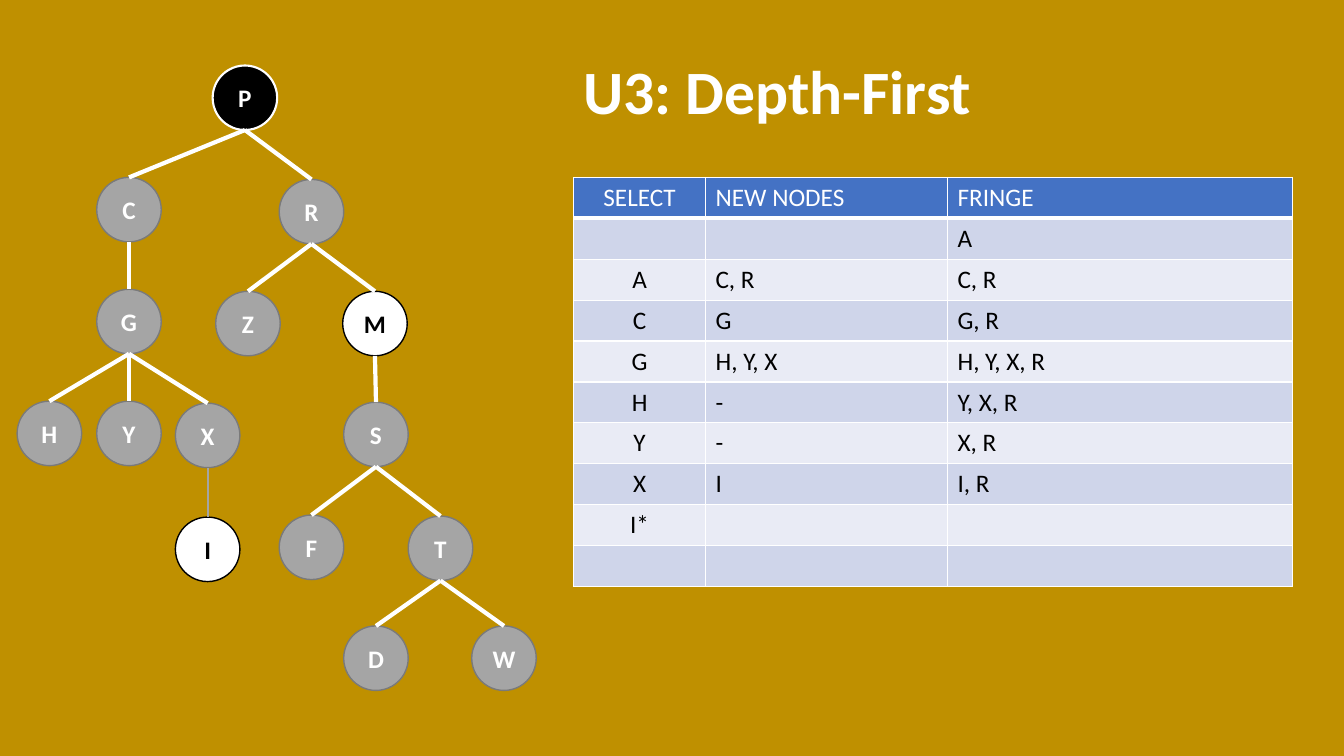
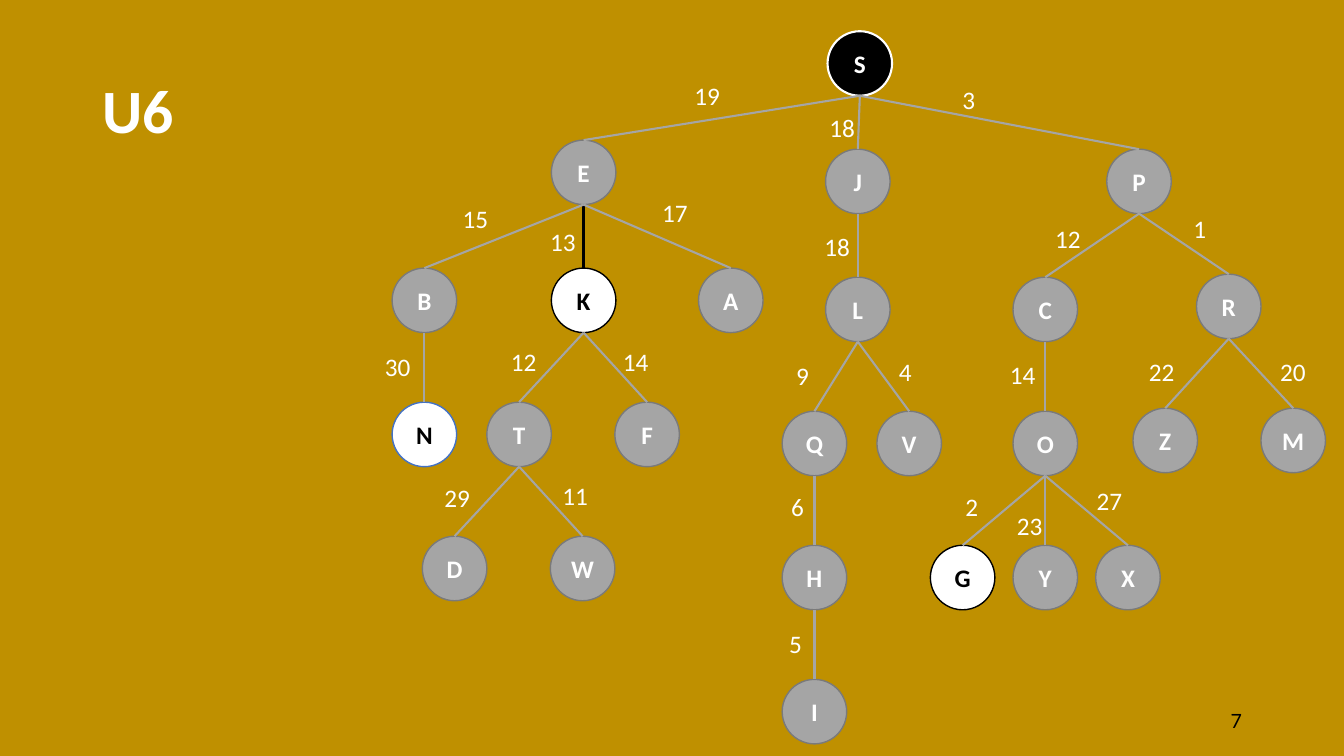
from pptx import Presentation
from pptx.dml.color import RGBColor
from pptx.enum.shapes import MSO_CONNECTOR as Conn, MSO_SHAPE as Shape
from pptx.enum.text import MSO_ANCHOR as Anchor, MSO_AUTO_SIZE as Auto, PP_ALIGN as Align
from pptx.oxml.ns import qn
from pptx.util import Inches, Pt
from lxml.etree import SubElement

CELL = 0.1
NODE = 6.4
WHITE, BLACK, GREY, GOLD = "FFFFFF", "000000", "A5A5A5", "BF9000"
HEADER, BANDS = "4472C4", ("CFD5EA", "E9EBF5")

LOOKS = {
    "plain": (GREY, "7A7A7A", 1, WHITE),
    "root": (BLACK, WHITE, 1.5, WHITE),
    "goal": (WHITE, BLACK, 1, BLACK),
    "blue goal": (WHITE, "4472C4", 1, BLACK),
}
THIN, THICK, CHOSEN = (GREY, 1.5), (WHITE, 3), (BLACK, 2.25)

TITLE = {"size": Pt(44), "bold": True, "name": "Calibri"}
LETTER = {"size": Pt(18), "bold": True, "name": "Calibri"}
PLAIN = {"size": Pt(18), "bold": False, "name": "Calibri"}
NUMBER = {"size": Pt(14), "bold": False, "name": "Lato"}
NO_MARGINS = dict.fromkeys(
    ("margin_left", "margin_right", "margin_top", "margin_bottom"), 0)


def grid(*cells):
    return [Inches(n * CELL) for n in cells]


def rgb(value):
    return RGBColor.from_string(value)


def apply(target, values):
    for name, value in values.items():
        setattr(target, name, value)


class Deck:
    def __init__(self):
        self.prs = Presentation()
        self.prs.slide_width, self.prs.slide_height = grid(133.33, 75)
        self.paint(self.prs.slide_master.background, GOLD)
        self.s = None

    def paint(self, target, color):
        target.fill.solid()
        target.fill.fore_color.rgb = rgb(color)

    def put(self, tf, text, style, color, align=Align.LEFT):
        p = tf.paragraphs[0]
        p.alignment = align
        r = p.add_run()
        r.text = text
        apply(r.font, style)
        r.font.color.rgb = rgb(color)
        return p

    def slide(self, title, *box):
        self.s = self.prs.slides.add_slide(self.prs.slide_layouts[5])
        sp = self.s.shapes.title
        apply(sp, dict(zip(("left", "top", "width", "height"), grid(*box))))
        tf = sp.text_frame
        apply(tf, {"auto_size": Auto.NONE, "vertical_anchor": Anchor.MIDDLE, "word_wrap": True})
        self.put(tf, title, TITLE, WHITE).line_spacing = 0.9

    def text(self, text, box, style=PLAIN, color=WHITE, align=Align.LEFT, **frame):
        tf = self.s.shapes.add_textbox(*grid(*box)).text_frame
        apply(tf, frame)
        self.put(tf, text, style, color, align)

    def node(self, letter, x, y, look):
        fill, line, width, color = LOOKS[look]
        sp = self.s.shapes.add_shape(Shape.OVAL, *grid(x, y, NODE, NODE))
        sp.shadow.inherit = False
        self.paint(sp, fill)
        sp.line.width = Pt(width)
        sp.line.color.rgb = rgb(line)
        apply(sp.text_frame, {**NO_MARGINS, "vertical_anchor": Anchor.MIDDLE})
        self.put(sp.text_frame, letter, LETTER, color, Align.CENTER)

    def edge(self, parent, child, color, width):
        (px, py), (cx, cy) = parent, child
        half = NODE / 2
        ends = grid(px + half, py + NODE, cx + half, cy)
        line = self.s.shapes.add_connector(Conn.STRAIGHT, *ends)
        line.line.width = Pt(width)
        line.line.color.rgb = rgb(color)
        SubElement(line._element.spPr, qn("a:effectLst"))

    def tree(self, places, looks, edges, line, special):
        for letter, (x, y) in places.items():
            self.node(letter, x, y, looks.get(letter, "plain"))
        for parent, children in edges.items():
            for child in children:
                self.edge(places[parent], places[child], *special.get(child, line))

    def weights(self, labels):
        for text, x, y in labels:
            width = 4.5 if len(text) > 1 else 3.3
            self.text(text, (x, y, width, 4), word_wrap=False)

    def borders(self, cell, heading):
        tcPr = cell._tc.get_or_add_tcPr()
        for side in "LRTB":
            width = Pt(3 if heading and side == "B" else 1)
            ln = SubElement(tcPr, qn("a:ln" + side), w=str(width))
            fill = SubElement(ln, qn("a:solidFill"))
            SubElement(fill, qn("a:srgbClr"), val=WHITE)

    def table(self, rows, x, y, widths, height):
        box = grid(x, y, sum(widths), height * len(rows))
        table = self.s.shapes.add_table(len(rows), len(widths), *box).table
        for column, width in zip(table.columns, grid(*widths)):
            column.width = width
        for i, row in enumerate(rows):
            for j, text in enumerate(row):
                cell = table.cell(i, j)
                self.borders(cell, i == 0)
                self.paint(cell, BANDS[(i - 1) % 2] if i else HEADER)
                if text:
                    self.put(cell.text_frame, text, PLAIN, BLACK if i else WHITE,
                             Align.LEFT if j else Align.CENTER)


DEPTH_PLACES = {
    "P": (21.1, 6.5), "S": (34.1, 39.9), "C": (9.6, 17.6), "D": (34.1, 62.1),
    "T": (40.5, 51.2), "F": (27.7, 51.1), "R": (27.7, 17.8), "G": (9.6, 28.7),
    "Z": (21.4, 28.9), "M": (34, 28.9), "I": (17.4, 51.3), "H": (1.7, 39.8),
    "W": (46.8, 62.1), "X": (17.4, 40), "Y": (9.6, 39.8),
}
DEPTH_EDGES = {"M": "S", "S": "TF", "T": "DW", "X": "I", "P": "CR",
               "C": "G", "R": "ZM", "G": "HYX"}
SEARCH_STEPS = [
    ("SELECT", "NEW NODES", "FRINGE"),
    ("", "", "A"),
    ("A", "C, R", "C, R"),
    ("C", "G", "G, R"),
    ("G", "H, Y, X", "H, Y, X, R"),
    ("H", "-", "Y, X, R"),
    ("Y", "-", "X, R"),
    ("X", "I", "I, R"),
    ("I*", "", ""),
    ("", "", ""),
]

COST_PLACES = {
    "S": (82.1, 3.1), "J": (81.9, 14.8), "E": (54.7, 13.9), "B": (38.9, 26.6),
    "P": (109.8, 14.8), "A": (69.3, 26.6), "K": (54.7, 26.6), "C": (100.5, 27.5),
    "L": (81.9, 27.5), "N": (38.9, 39.9), "D": (41.9, 53.2), "T": (48.3, 39.9),
    "F": (61, 39.9), "R": (118.7, 27.2), "Q": (77.6, 40.8), "V": (87, 40.8),
    "O": (100.5, 40.8), "Z": (112.4, 40.5), "M": (125.1, 40.5), "H": (77.6, 54.1),
    "I": (77.6, 67.4), "G": (92.3, 54.1), "W": (54.6, 53.2), "X": (108.7, 54.1),
    "Y": (100.5, 54.1),
}
COST_EDGES = {"S": "EJP", "E": "KBA", "B": "N", "K": "TF", "T": "DW", "J": "L",
              "L": "QV", "Q": "H", "H": "I", "P": "CR", "C": "O", "R": "ZM", "O": "GYX"}
COSTS = [
    ("17", 64.7, 19.1), ("13", 53.6, 22), ("15", 44.9, 19.7), ("19", 67.9, 7.5),
    ("3", 94.5, 7.9), ("12", 49.7, 33.9), ("30", 37.2, 34.4), ("1", 117.4, 20.7),
    ("12", 103.7, 21.7), ("18", 81.3, 10.7), ("18", 80.8, 22.5), ("22", 113, 34.9),
    ("14", 99.2, 35.2), ("4", 88.2, 34.9), ("9", 78, 35.3), ("14", 60.8, 33.9),
    ("2", 94.8, 48.3), ("6", 77.5, 48.3), ("11", 54.8, 47.2), ("29", 43.1, 47.4),
    ("20", 126, 34.9), ("5", 77.3, 61.8), ("27", 107.8, 47.7), ("23", 99.9, 50.1),
]


def main():
    deck = Deck()

    deck.slide("U3: Depth-First", 56.9, 2.1, 71.3, 14.5)
    deck.tree(DEPTH_PLACES, {"P": "root", "M": "goal", "I": "goal"},
              DEPTH_EDGES, THICK, {"I": THIN})
    deck.table(SEARCH_STEPS, 56.9, 17.6, (13.1, 24, 34.2), 4.06)

    deck.slide("U6", 9.2, 4, 37.5, 14.5)
    deck.text("7", (94.2, 69.5, 30, 4), NUMBER, BLACK, Align.RIGHT,
              vertical_anchor=Anchor.MIDDLE, word_wrap=True)
    deck.tree(COST_PLACES, {"S": "root", "K": "goal", "G": "goal", "N": "blue goal"},
              COST_EDGES, THIN, {"K": CHOSEN})
    deck.weights(COSTS)

    deck.prs.save("out.pptx")


if __name__ == "__main__":
    main()
